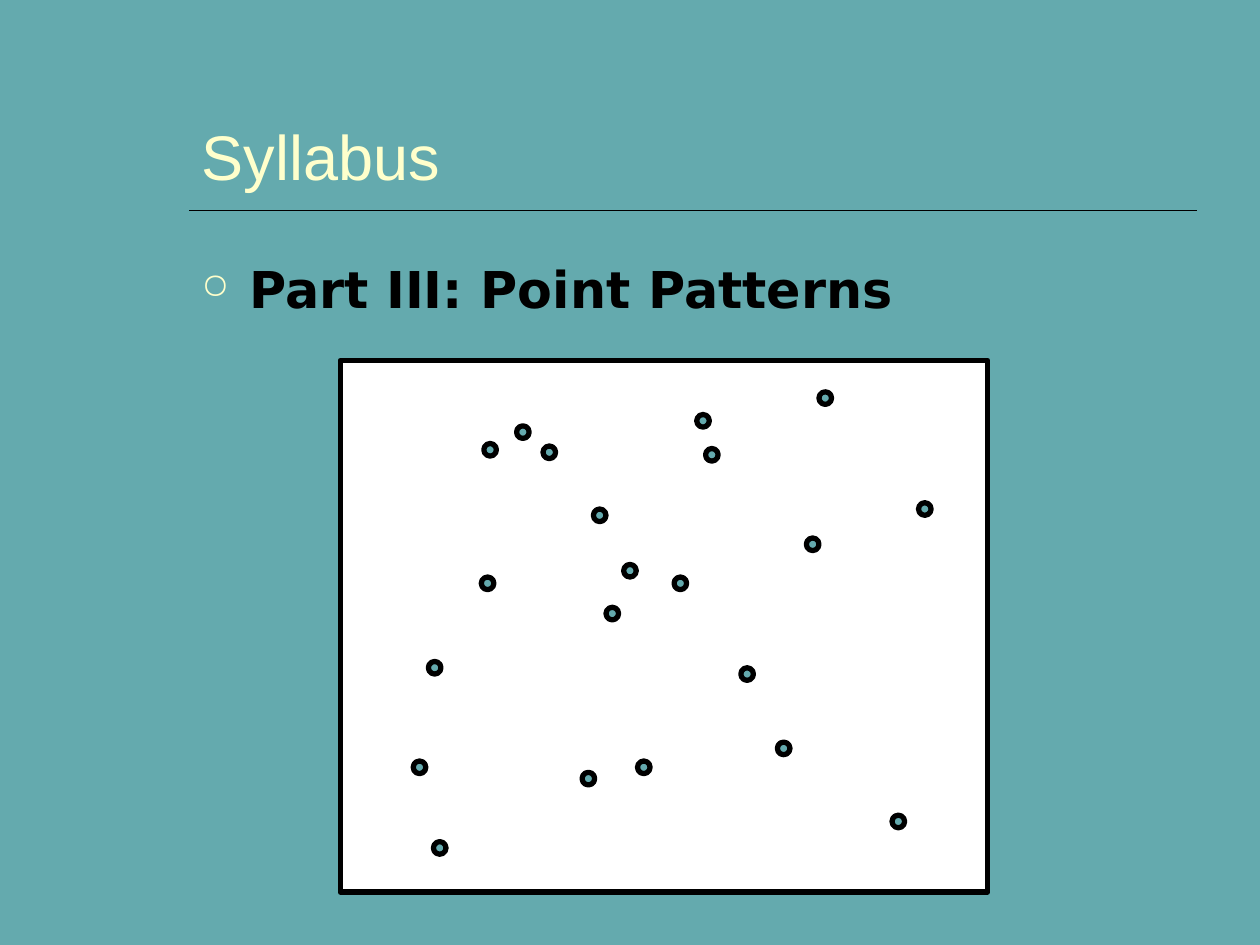
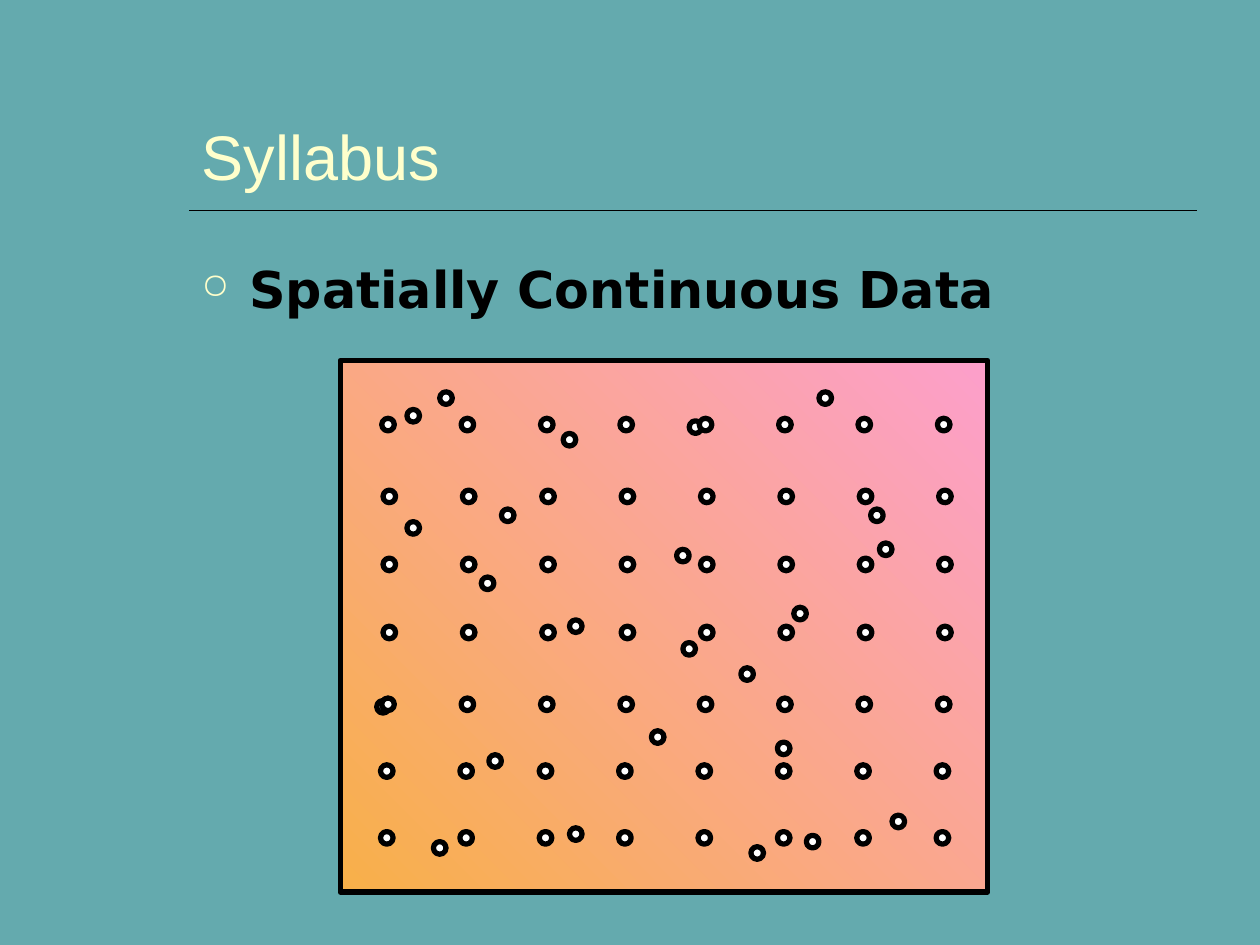
from lxml import etree
from pptx import Presentation
from pptx.dml.color import RGBColor
from pptx.enum.shapes import MSO_CONNECTOR, MSO_SHAPE
from pptx.enum.text import MSO_ANCHOR, MSO_AUTO_SIZE, PP_ALIGN
from pptx.oxml.ns import qn
from pptx.util import Inches, Pt

TEAL, CREAM, BLACK, WHITE = "64AAAE", "FFFFCC", "000000", "FFFFFF"
PINK, ORANGE = "FC9FCB", "F8B049"
DOT_SIZE = 0.1

# Left and top of each dot, in inches
EVENTS = [
    (3.84, 3.52), (5.6, 3.56), (3.28, 6.04), (4.1, 3.38), (3.82, 4.58),
    (6.4, 4.27), (6.17, 5.89), (5.88, 5.3), (7.08, 6.47), (4.62, 6.13),
    (4.31, 3.54), (5.35, 4.58), (5.53, 3.29), (4.95, 4.48), (4.81, 4.82),
    (5.06, 6.04), (3.44, 6.68), (4.71, 4.04), (7.29, 3.99), (3.4, 5.25),
    (6.5, 3.11),
]
SAMPLES = [
    (3.23, 3.25), (6.98, 4.31), (2.99, 5.56), (3.49, 3.11), (3.82, 4.58),
    (5.42, 5.1), (6.17, 5.89), (5.88, 5.3), (7.08, 6.47), (5.96, 6.72),
    (3.98, 4.04), (4.52, 4.92), (6.91, 4.04), (5.47, 3.34), (5.37, 4.36),
    (6.4, 6.63), (3.44, 6.68), (4.47, 3.44), (6.3, 4.82), (3.88, 5.99),
    (6.5, 3.11), (4.52, 6.57), (5.17, 5.8), (3.23, 4.14),
]
GRID_ROWS = [
    (3.03, 3.32), (3.04, 3.89), (3.04, 4.43), (3.04, 4.97),
    (3.03, 5.54), (3.02, 6.07), (3.02, 6.6),
]
GRID_COLUMNS, GRID_STEP = 8, 0.63
GRID = [(left + col * GRID_STEP, top)
        for left, top in GRID_ROWS for col in range(GRID_COLUMNS)]


def color(hex_string):
    return RGBColor.from_string(hex_string)


def style_run(paragraph, font, size, hex_color, bold=False):
    f = paragraph.runs[0].font
    f.name, f.size, f.bold = font, Pt(size), bold
    f.color.rgb = color(hex_color)


def add_title(slide, text):
    title = slide.shapes.title
    title.left, title.top = Inches(1.5), Inches(0.33)
    title.width, title.height = Inches(8), Inches(1.25)
    tf = title.text_frame
    tf.text = text
    tf.auto_size = MSO_AUTO_SIZE.NONE
    tf.vertical_anchor = MSO_ANCHOR.BOTTOM
    p = tf.paragraphs[0]
    p.alignment = PP_ALIGN.LEFT
    style_run(p, "Arial", 36, CREAM)


def add_rule(slide):
    line = slide.shapes.add_connector(
        MSO_CONNECTOR.STRAIGHT, Inches(1.5), Inches(1.67), Inches(9.5), Inches(1.67))
    line.line.color.rgb = color(BLACK)
    line.line.width = Pt(1)
    etree.SubElement(line._element.spPr, qn("a:effectLst"))


def add_bullet(p):
    pPr = p._p.get_or_add_pPr()
    pPr.set("marL", str(Inches(0.38)))
    pPr.set("indent", str(Inches(-0.38)))
    bullet_color = etree.SubElement(pPr, qn("a:buClr"))
    etree.SubElement(bullet_color, qn("a:srgbClr"), val=CREAM)
    etree.SubElement(pPr, qn("a:buSzPct"), val="70000")
    etree.SubElement(pPr, qn("a:buChar"), char="○")


def add_topic(slide, text):
    box = slide.shapes.add_textbox(Inches(1.5), Inches(2), Inches(8), Inches(5.23))
    tf = box.text_frame
    tf.word_wrap = True
    tf.text = text
    p = tf.paragraphs[0]
    add_bullet(p)
    style_run(p, "DejaVu Sans", 29, BLACK, bold=True)


def add_outlined(shapes, kind, left, top, width, height):
    sp = shapes.add_shape(kind, Inches(left), Inches(top), Inches(width), Inches(height))
    sp.shadow.inherit = False
    sp.line.color.rgb = color(BLACK)
    sp.line.width = Pt(3)
    return sp


def fill_solid(sp, hex_color):
    sp.fill.solid()
    sp.fill.fore_color.rgb = color(hex_color)


def fill_diagonal(sp, top_right, bottom_left):
    sp.fill.gradient()
    sp.fill.gradient_angle = 225
    for stop, hex_color in zip(sp.fill.gradient_stops, (top_right, bottom_left)):
        stop.color.rgb = color(hex_color)


def add_study_area(slide):
    return add_outlined(slide.shapes, MSO_SHAPE.RECTANGLE, 2.7, 2.86, 5.14, 4.22)


def add_dots(slide, positions, hex_color):
    group = slide.shapes.add_group_shape()
    for left, top in positions:
        dot = add_outlined(group.shapes, MSO_SHAPE.OVAL, left, top, DOT_SIZE, DOT_SIZE)
        fill_solid(dot, hex_color)


def add_syllabus_slide(prs, topic):
    slide = prs.slides.add_slide(prs.slide_layouts.get_by_name("Title Only"))
    add_rule(slide)
    add_title(slide, "Syllabus")
    add_topic(slide, topic)
    return slide


def main():
    prs = Presentation()
    prs.slide_width, prs.slide_height = Inches(10), Inches(7.5)
    background = prs.slide_master.background.fill
    background.solid()
    background.fore_color.rgb = color(TEAL)

    slide = add_syllabus_slide(prs, "Part III: Point Patterns")
    fill_solid(add_study_area(slide), WHITE)
    add_dots(slide, EVENTS, TEAL)

    slide = add_syllabus_slide(prs, "Spatially Continuous Data")
    fill_diagonal(add_study_area(slide), PINK, ORANGE)
    add_dots(slide, SAMPLES, WHITE)
    add_dots(slide, GRID, WHITE)

    prs.save("out.pptx")


if __name__ == "__main__":
    main()
